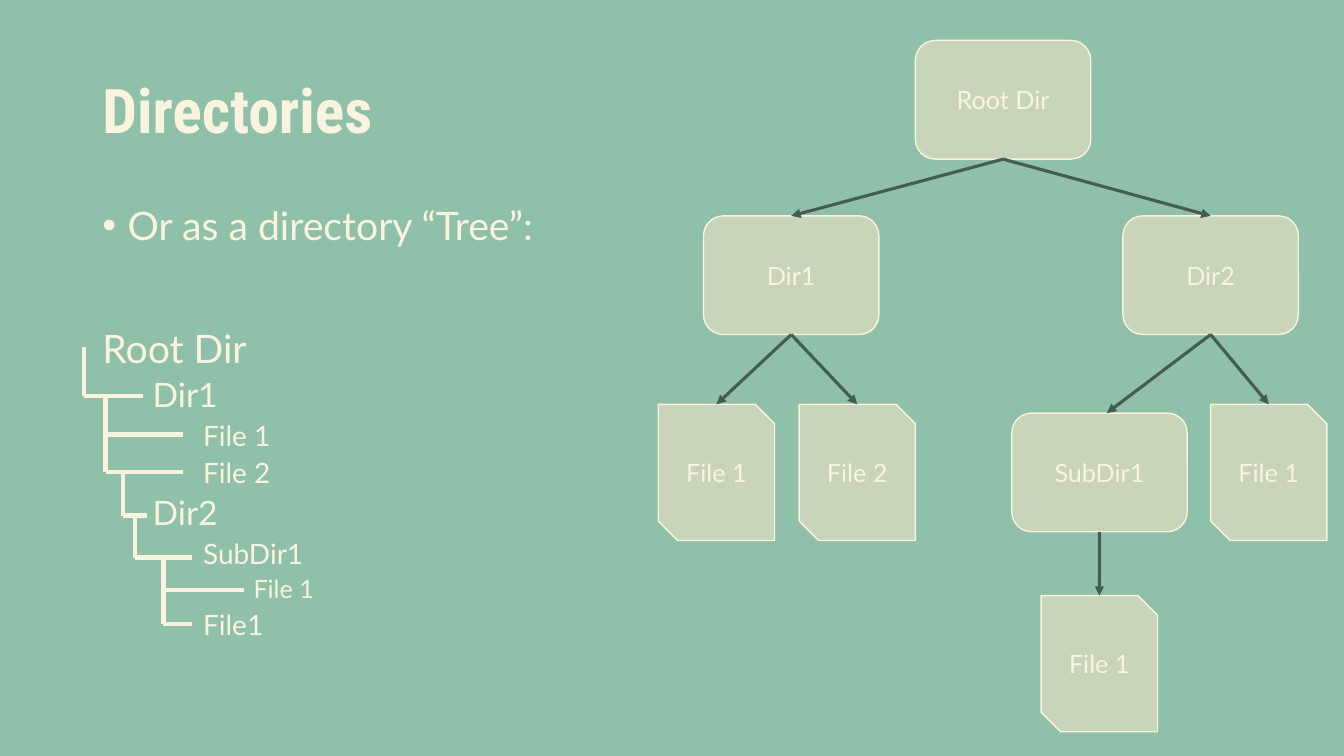
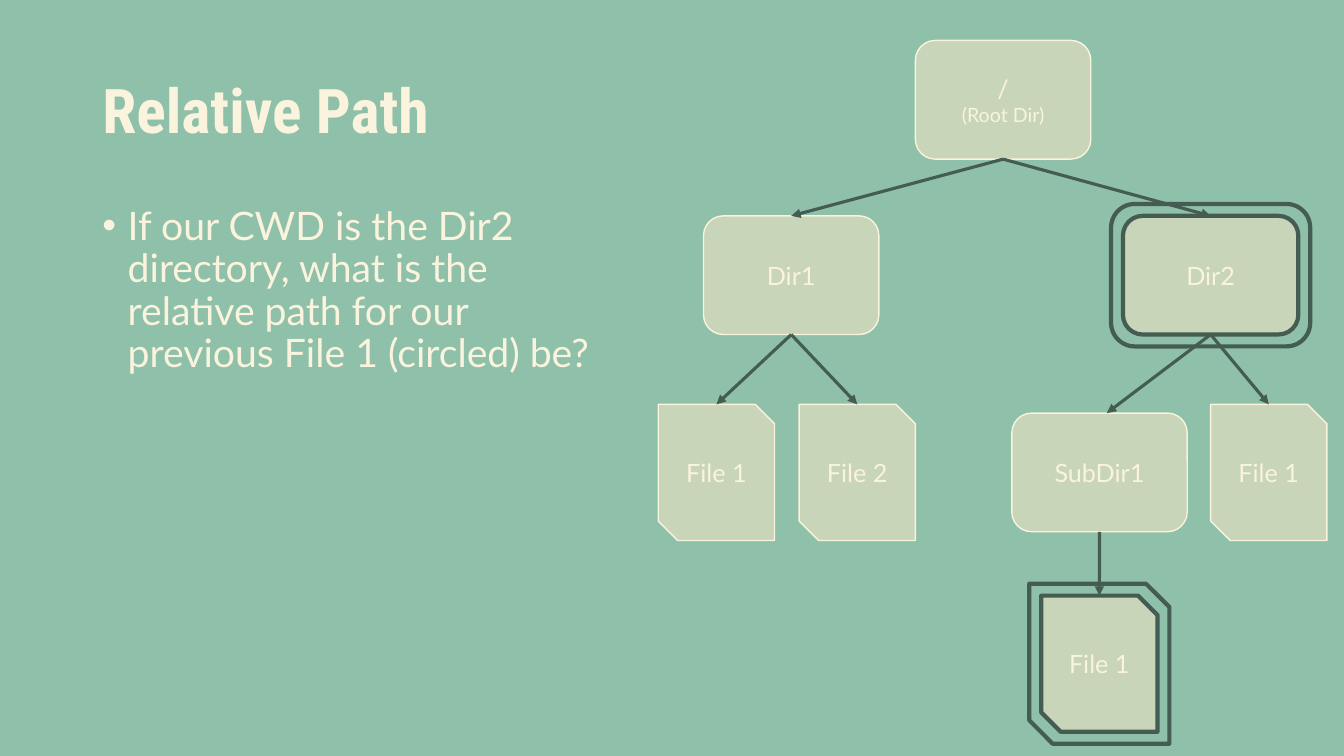
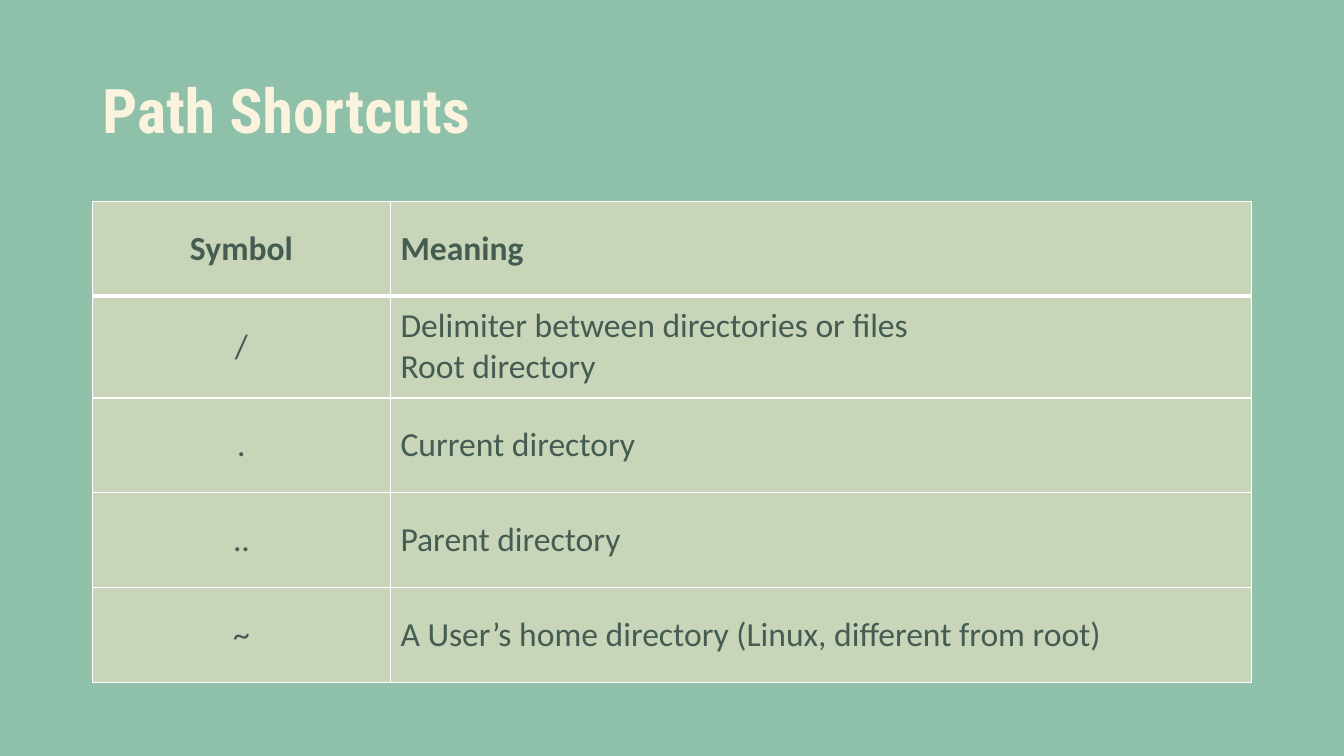
"""Build three slides on directory trees and path shortcuts."""
from dataclasses import dataclass
from typing import Any, Optional

from lxml import etree
from pptx import Presentation
from pptx import util as u
from pptx.dml import color as dml
from pptx.enum import shapes, text
from pptx.oxml import ns
from pptx.shapes import autoshape, connector
from pptx.slide import Slide

COLOURS = {"green": "8FC0A9", "sage": "C8D5B9", "cream": "FAF3DD", "dark": "455C52", "white": "FFFFFF"}
BODY_FONT, TITLE_FONT, TABLE_FONT = "Lato", "Roboto Condensed", "Calibri"
PAGE_SIZE = (33.87, 19.05)
MARGIN = 2.33
RING_GAP = 0.3
DIR_SIZE, FILE_SIZE = (4.42, 2.99), (2.93, 3.43)


@dataclass(frozen=True)
class Node:
    """A directory or file in the tree diagram, placed in centimetres."""

    label: str
    left: float
    top: float
    parent: Optional[int] = None
    is_file: bool = False
    arrow_shift: float = 0

    @property
    def size(self) -> tuple[float, float]:
        """Return width and height."""
        return FILE_SIZE if self.is_file else DIR_SIZE

    @property
    def preset(self) -> Any:
        """Return the preset shape of the node."""
        kinds = shapes.MSO_SHAPE
        return kinds.SNIP_2_DIAG_RECTANGLE if self.is_file else kinds.ROUNDED_RECTANGLE


@dataclass(frozen=True)
class Trunk:
    """A vertical outline line with twigs given as (height, right end)."""

    left: float
    top: float
    twigs: tuple[tuple[float, float], ...]


@dataclass(frozen=True)
class Entry:
    """One line of the indented outline."""

    label: str
    level: int
    size: int


DIR2, DEEP_FILE = 2, 7
NODES = (
    Node("Root Dir", 23.07, 1.02),
    Node("Dir1", 17.73, 5.44, 0),
    Node("Dir2", 28.3, 5.44, 0),
    Node("File 1", 16.59, 10.19, 1, True),
    Node("File 2", 20.14, 10.19, 1, True),
    Node("File 1", 30.51, 10.19, 2, True),
    Node("SubDir1", 25.5, 10.41, 2, arrow_shift=0.18),
    Node("File 1", 26.24, 15.01, 6, True),
)
ENTRIES = (
    Entry("Root Dir", 0, 28),
    Entry("Dir1", 1, 24),
    Entry("File 1", 2, 20),
    Entry("File 2", 2, 20),
    Entry("Dir2", 1, 24),
    Entry("SubDir1", 2, 20),
    Entry("File 1", 3, 18),
    Entry("File1", 2, 20),
)
TRUNKS = (
    Trunk(2.12, 8.74, ((9.98, 3.61),)),
    Trunk(2.66, 9.98, ((10.95, 4.61), (11.9, 4.61))),
    Trunk(3.1, 11.9, ((12.99, 3.71),)),
    Trunk(3.4, 12.99, ((14.05, 4.85),)),
    Trunk(4.12, 14.05, ((14.86, 6.15), (15.73, 4.85))),
)
SHORTCUTS = (
    ("Symbol", "Meaning"),
    ("/", "Delimiter between directories or files\nRoot directory"),
    (".", "Current directory"),
    ("..", "Parent directory"),
    ("~", "A User’s home directory (Linux, different from root)"),
)


def rgb(name: str) -> dml.RGBColor:
    """Return a named colour."""
    return dml.RGBColor.from_string(COLOURS[name])


def format_runs(para: Any, size: float, colour: str = "cream", font: str = BODY_FONT, bold: bool = False) -> None:
    """Set the font of every run in a paragraph."""
    for span in para.runs:
        span.font.size = u.Pt(size)
        span.font.name = font
        span.font.bold = bold
        span.font.color.rgb = rgb(colour)


def add_text(slide: Slide, content: str, top: float, width: float, height: float) -> Any:
    """Add a wrapped text box at the left margin and return its frame."""
    box = slide.shapes.add_textbox(u.Cm(MARGIN), u.Cm(top), u.Cm(width), u.Cm(height))
    frame = box.text_frame
    frame.word_wrap = True
    frame.text = content
    for para in frame.paragraphs:
        para.line_spacing = 0.9
    return frame


def add_page(deck: Any, title: str) -> Slide:
    """Add a blank slide with the green panel and a title."""
    page = deck.slides.add_slide(deck.slide_layouts[6])
    panel = page.shapes.add_shape(
        shapes.MSO_SHAPE.RECTANGLE, 0, 0, *[u.Cm(value) for value in PAGE_SIZE])
    panel.shadow.inherit = False
    panel.fill.solid()
    panel.fill.fore_color.rgb = rgb("green")
    panel.line.fill.background()
    frame = add_text(page, title, 1.02, 29.21, 3.68)
    frame.vertical_anchor = text.MSO_ANCHOR.MIDDLE
    format_runs(frame.paragraphs[0], 44, font=TITLE_FONT, bold=True)
    return page


def add_bullet(slide: Slide, content: str) -> None:
    """Add the bulleted body text."""
    para = add_text(slide, content, 5.08, 13.28, 12.09).paragraphs[0]
    para.space_before = u.Pt(10)
    format_runs(para, 28)
    properties = para._p.get_or_add_pPr()
    indent = u.Cm(0.64)
    properties.set("marL", str(indent))
    properties.set("indent", str(-indent))
    etree.SubElement(properties, ns.qn("a:buFont"), typeface="Arial")
    etree.SubElement(properties, ns.qn("a:buChar"), char="•")


def add_line(slide: Slide, start: tuple[float, float], end: tuple[float, float],
             colour: str, weight: float, arrow: bool = False) -> connector.Connector:
    """Add a straight line between two points in centimetres."""
    points = [u.Cm(value) for value in (*start, *end)]
    line = slide.shapes.add_connector(shapes.MSO_CONNECTOR.STRAIGHT, *points)
    line.line.color.rgb = rgb(colour)
    line.line.width = u.Pt(weight)
    properties = line._element.spPr
    if arrow:
        etree.SubElement(properties.find(ns.qn("a:ln")), ns.qn("a:tailEnd"), type="triangle")
    etree.SubElement(properties, ns.qn("a:effectLst"))
    return line


def add_node_shape(slide: Slide, node: Node, marked: bool, gap: float = 0) -> autoshape.Shape:
    """Add the outline of a node, widened on all sides by a gap."""
    width, height = node.size
    bounds = (node.left - gap, node.top - gap, width + 2 * gap, height + 2 * gap)
    box = slide.shapes.add_shape(node.preset, *[u.Cm(value) for value in bounds])
    box.shadow.inherit = False
    box.line.color.rgb = rgb("dark" if marked else "cream")
    box.line.width = u.Pt(3 if marked else 1)
    return box


def add_box(slide: Slide, node: Node, label: str, marked: bool) -> autoshape.Shape:
    """Add a filled, labelled node."""
    box = add_node_shape(slide, node, marked)
    box.fill.solid()
    box.fill.fore_color.rgb = rgb("sage")
    box.text_frame.text = label
    box.text_frame.vertical_anchor = text.MSO_ANCHOR.MIDDLE
    for para, size in zip(box.text_frame.paragraphs, (18, 14)):
        para.alignment = text.PP_ALIGN.CENTER
        format_runs(para, size)
    return box


def add_tree(slide: Slide, root_label: str, circled: tuple[int, ...] = ()) -> None:
    """Draw the tree diagram and circle the chosen nodes."""
    boxes = [
        add_box(slide, node, root_label if node.parent is None else node.label, index in circled)
        for index, node in enumerate(NODES)
    ]
    for node, box in zip(NODES, boxes):
        if node.parent is None:
            continue
        parent = NODES[node.parent]
        start = (parent.left + parent.size[0] / 2, parent.top + parent.size[1])
        end = (node.left + node.size[0] / 2 + node.arrow_shift, node.top)
        arrow = add_line(slide, start, end, "dark", 2.25, arrow=True)
        arrow.begin_connect(boxes[node.parent], 2)
        if not node.is_file and not node.arrow_shift:
            arrow.end_connect(box, 0)
    for index in circled:
        add_node_shape(slide, NODES[index], True, RING_GAP).fill.background()


def add_outline(slide: Slide) -> None:
    """Draw the indented outline with its branch lines."""
    frame = add_text(slide, "\n".join(entry.label for entry in ENTRIES), 8.18, 12.47, 8.97)
    for para, entry in zip(frame.paragraphs, ENTRIES):
        para.level = entry.level
        para.space_before = u.Pt(5 if entry.level else 10)
        para._p.get_or_add_pPr().set("marL", str(u.Cm(1.27 * entry.level)))
        format_runs(para, entry.size)
    for trunk in TRUNKS:
        add_line(slide, (trunk.left, trunk.top), (trunk.left, trunk.twigs[-1][0]), "cream", 3)
        for height, right in trunk.twigs:
            add_line(slide, (trunk.left, height), (right, height), "cream", 3)


def add_borders(cell: Any, row: int) -> None:
    """Give a cell white borders, heavy below the header row."""
    weights = {"L": 1, "R": 1, "T": 3 if row == 1 else 1, "B": 3 if row == 0 else 1}
    properties = cell._tc.get_or_add_tcPr()
    for side, weight in weights.items():
        border = etree.SubElement(properties, ns.qn(f"a:ln{side}"), w=str(u.Pt(weight)))
        fill = etree.SubElement(border, ns.qn("a:solidFill"))
        etree.SubElement(fill, ns.qn("a:srgbClr"), val=COLOURS["white"])


def add_shortcut_table(slide: Slide) -> None:
    """Add the table of path symbols."""
    widths, heights = (7.51, 21.7), (2.38, 2.57, 2.38, 2.39, 2.39)
    bounds = (MARGIN, 5.08, sum(widths), sum(heights))
    table = slide.shapes.add_table(
        len(heights), len(widths), *[u.Cm(value) for value in bounds]).table
    for column, width in zip(table.columns, widths):
        column.width = u.Cm(width)
    for row, (height, contents) in enumerate(zip(heights, SHORTCUTS)):
        table.rows[row].height = u.Cm(height)
        for column, content in enumerate(contents):
            cell = table.cell(row, column)
            add_borders(cell, row)
            cell.fill.solid()
            cell.fill.fore_color.rgb = rgb("sage")
            cell.vertical_anchor = text.MSO_ANCHOR.MIDDLE
            cell.text_frame.text = content
            for para in cell.text_frame.paragraphs:
                para.alignment = text.PP_ALIGN.LEFT if column else text.PP_ALIGN.CENTER
                format_runs(para, 24, "dark", TABLE_FONT, bold=row == 0)


def main() -> None:
    """Build and save the deck."""
    deck = Presentation()
    deck.slide_width, deck.slide_height = [u.Cm(value) for value in PAGE_SIZE]

    page = add_page(deck, "Directories")
    add_bullet(page, "Or as a directory “Tree”:")
    add_tree(page, "Root Dir")
    add_outline(page)

    page = add_page(deck, "Relative Path")
    add_bullet(page, "If our CWD is the Dir2 directory, what is the relative path "
                     "for our previous File 1 (circled) be?")
    add_tree(page, "/\n(Root Dir)", circled=(DEEP_FILE, DIR2))

    page = add_page(deck, "Path Shortcuts")
    add_shortcut_table(page)

    deck.save("out.pptx")


if __name__ == "__main__":
    main()
